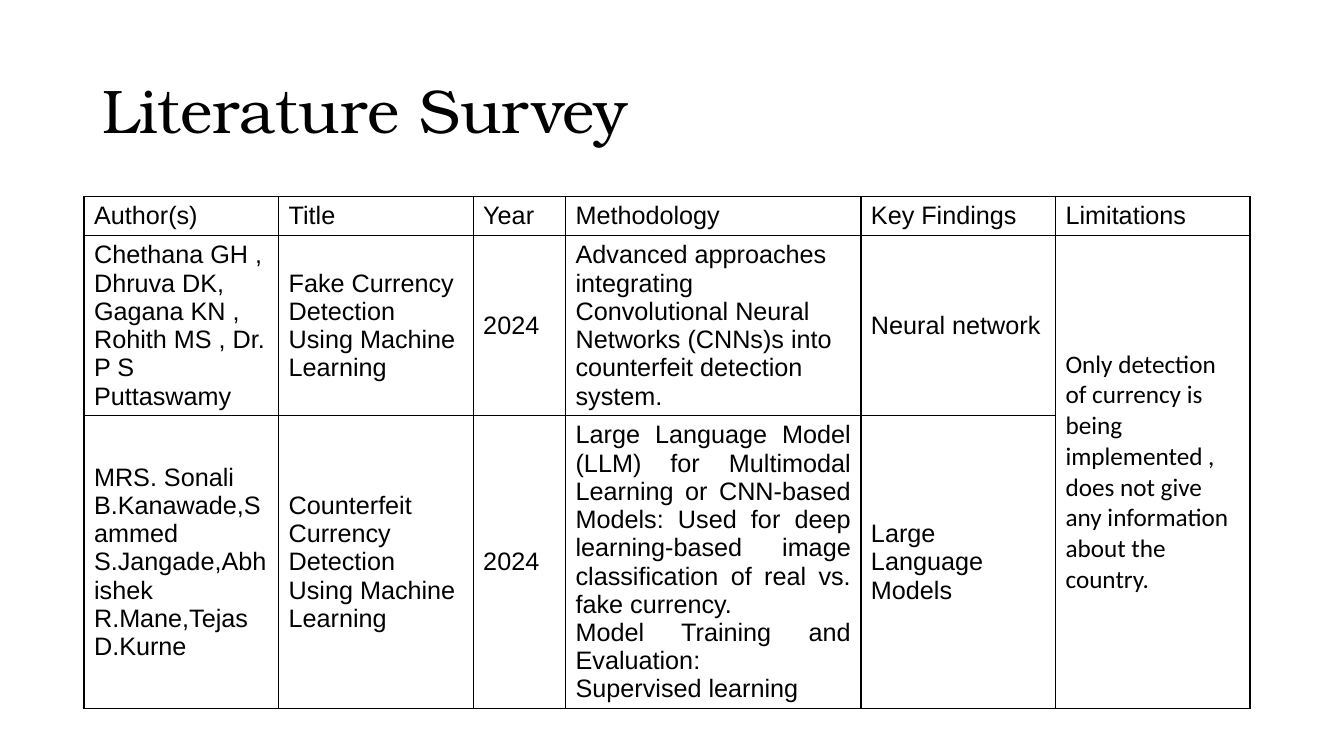
from dataclasses import dataclass

import pptx
import pptx.dml.color
import pptx.enum.text
import pptx.oxml
import pptx.oxml.ns
import pptx.util

Pt = pptx.util.Pt
Align = pptx.enum.text.PP_ALIGN
Anchor = pptx.enum.text.MSO_ANCHOR


@dataclass(frozen=True)
class Theme:
    """Colours, fonts and type sizes of the slide."""
    ink: str = "000000"
    paper: str = "FFFFFF"
    title_font: str = "TeX Gyre Bonum"
    table_font: str = "Arial"
    note_font: str = "Calibri"
    title_size: float = 44
    table_size: float = 18
    border_width: float = 1


THEME = Theme()
COLUMN_WIDTHS = [139, 139, 66, 211, 139, 139]
ROW_HEIGHTS = [28, 128.6, 209.2]
METHODOLOGY, LIMITATIONS = 3, 5
SURVEY = [
    ["Author(s)", "Title", "Year", "Methodology", "Key Findings", "Limitations"],
    [
        "Chethana GH , Dhruva DK, Gagana KN , Rohith MS , Dr. P S Puttaswamy",
        "Fake Currency Detection Using Machine Learning",
        "2024",
        "Advanced approaches integrating Convolutional Neural Networks (CNNs)s "
        "into counterfeit detection system.",
        "Neural network",
        "Only detection of currency is being implemented , does not give any "
        "information about the country.",
    ],
    [
        "MRS. Sonali B.Kanawade,Sammed S.Jangade,Abhishek R.Mane,Tejas D.Kurne",
        "Counterfeit Currency Detection Using Machine Learning",
        "2024",
        "Large Language Model (LLM) for Multimodal Learning or CNN-based Models: "
        "Used for deep learning-based image classification of real vs. fake currency.\n"
        "Model Training and Evaluation:\vSupervised learning",
        "Large Language Models",
        "",
    ],
]


def write_text(text_frame, text, *, font, size, align=Align.LEFT, line_spacing=None):
    """Fill a text frame with paragraphs of one format."""
    text_frame.text = text
    for paragraph in text_frame.paragraphs:
        paragraph.alignment = align
        if line_spacing:
            paragraph.line_spacing = line_spacing
        for run in paragraph.runs:
            run.font.name = font
            run.font.size = Pt(size)
            run.font.color.rgb = pptx.dml.color.RGBColor.from_string(THEME.ink)


def add_borders(cell):
    """Draw a thin line on all four sides of a cell."""
    properties = cell._tc.get_or_add_tcPr()
    for index, side in enumerate(("lnL", "lnR", "lnT", "lnB")):
        border = pptx.oxml.parse_xml(
            f'<a:{side} {pptx.oxml.ns.nsdecls("a")} w="{Pt(THEME.border_width)}">'
            f'<a:solidFill><a:srgbClr val="{THEME.ink}"/></a:solidFill></a:{side}>'
        )
        properties.insert(index, border)


def add_title(slide, left, top, width, height):
    """Place the slide title in its box."""
    title = slide.shapes.title
    title.left, title.top, title.width, title.height = map(Pt, (left, top, width, height))
    frame = title.text_frame
    frame.word_wrap = True
    frame.auto_size = pptx.enum.text.MSO_AUTO_SIZE.NONE
    frame.vertical_anchor = Anchor.MIDDLE
    write_text(frame, "Literature Survey", font=THEME.title_font,
               size=THEME.title_size, line_spacing=0.9)


def add_survey_table(slide, left, top, width, height):
    """Place the survey table, with one limitation shared by both papers."""
    shape = slide.shapes.add_table(len(SURVEY), len(SURVEY[0]),
                                   Pt(left), Pt(top), Pt(width), Pt(height))
    table = shape.table
    table.first_row = table.horz_banding = False
    for column, column_width in zip(table.columns, COLUMN_WIDTHS):
        column.width = Pt(width * column_width / sum(COLUMN_WIDTHS))
    for row, row_height in zip(table.rows, ROW_HEIGHTS):
        row.height = Pt(height * row_height / sum(ROW_HEIGHTS))
    for row_index, row_texts in enumerate(SURVEY):
        for column_index, text in enumerate(row_texts):
            cell = table.cell(row_index, column_index)
            cell.vertical_anchor = Anchor.MIDDLE
            cell.fill.solid()
            cell.fill.fore_color.rgb = pptx.dml.color.RGBColor.from_string(THEME.paper)
            add_borders(cell)
            is_note = row_index > 0 and column_index == LIMITATIONS
            is_justified = row_index == 2 and column_index == METHODOLOGY
            write_text(cell.text_frame, text, size=THEME.table_size,
                       font=THEME.note_font if is_note else THEME.table_font,
                       align=Align.JUSTIFY if is_justified else Align.LEFT)
    table.cell(1, LIMITATIONS).merge(table.cell(2, LIMITATIONS))


def main():
    """Build the slide and save it."""
    presentation = pptx.Presentation()
    presentation.slide_width, presentation.slide_height = Pt(960), Pt(540)
    slide = presentation.slides.add_slide(presentation.slide_layouts[5])
    add_title(slide, 66, 28.8, 828, 104.4)
    add_survey_table(slide, 60, 140.4, sum(COLUMN_WIDTHS), sum(ROW_HEIGHTS))
    presentation.save("out.pptx")


if __name__ == "__main__":
    main()
